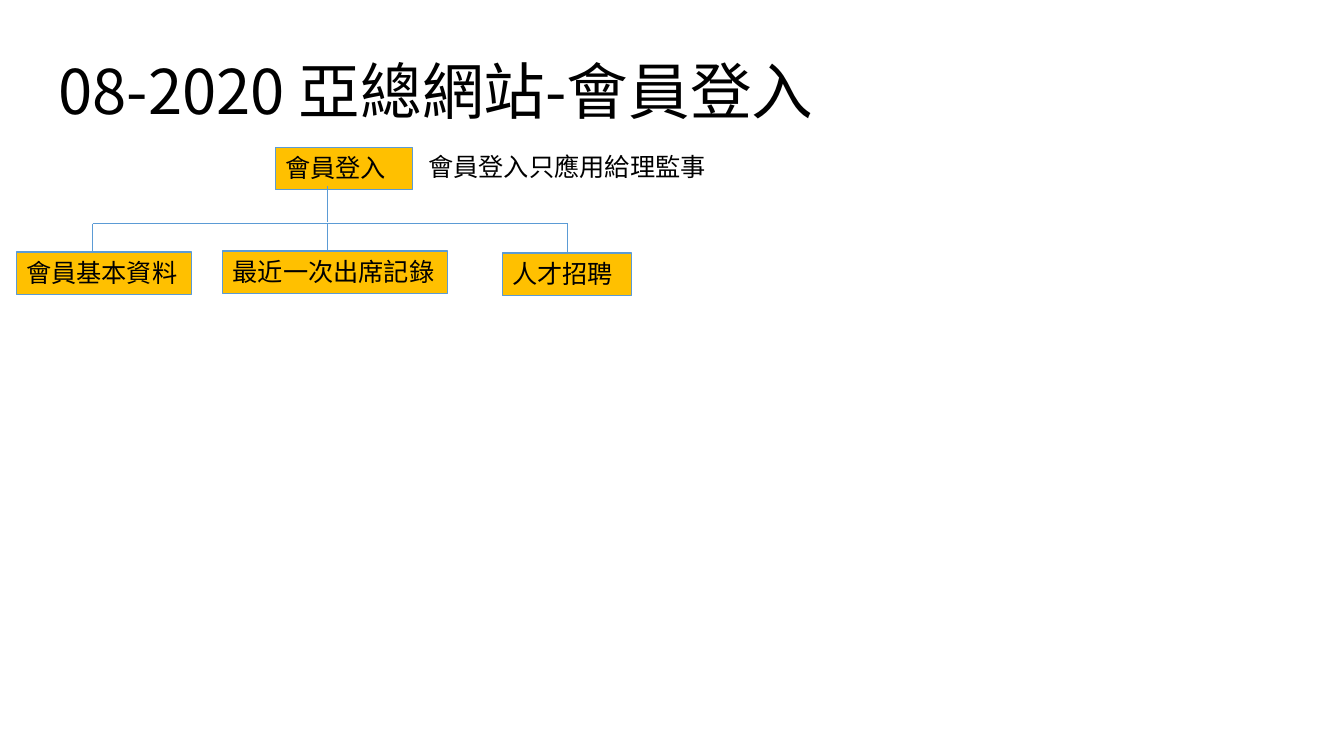
from lxml import etree
from pptx import Presentation
from pptx import util as u
from pptx.dml import color
from pptx.enum import shapes, text
from pptx.oxml import ns

COLORS = {"background": "FFFFFF", "ink": "000000", "box": "FFC000", "line": "5B9BD5"}
CJK_FONT = "Noto Sans CJK TC"
BOX_HEIGHT = 0.42
TRUNK_X = 3.25
BAR_Y = 2.22
BRANCHES = [
    ("會員基本資料", 0.16, 2.5, 1.74, 0.92),
    ("最近一次出席記錄", 2.21, 2.49, 2.23, TRUNK_X),
    ("人才招聘", 4.98, 2.51, 1.28, 5.63),
]


def rgb(name):
    return color.RGBColor.from_string(COLORS[name])


def write_text(shape, content, size=18, font=CJK_FONT, wrap=True, grow=True,
               anchor=text.MSO_ANCHOR.TOP, line_spacing=None):
    frame = shape.text_frame
    frame.word_wrap = wrap
    frame.auto_size = (text.MSO_AUTO_SIZE.SHAPE_TO_FIT_TEXT if grow
                       else text.MSO_AUTO_SIZE.NONE)
    frame.vertical_anchor = anchor
    paragraph = frame.paragraphs[0]
    paragraph.alignment = text.PP_ALIGN.LEFT
    if line_spacing:
        paragraph.line_spacing = line_spacing
    run = paragraph.add_run()
    run.text = content
    run.font.size = u.Pt(size)
    run.font.name = font
    run.font.color.rgb = rgb("ink")
    east_asian = etree.SubElement(run.font._element, ns.qn("a:ea"))
    east_asian.set("typeface", CJK_FONT)


def add_text(slide, left, top, width, height, content, **text_format):
    shape = slide.shapes.add_textbox(*map(u.Inches, (left, top, width, height)))
    write_text(shape, content, **text_format)


def add_box(slide, left, top, width, content):
    shape = slide.shapes.add_shape(
        shapes.MSO_SHAPE.RECTANGLE,
        *map(u.Inches, (left, top, width, BOX_HEIGHT)))
    shape.shadow.inherit = False
    shape.fill.solid()
    shape.fill.fore_color.rgb = rgb("box")
    shape.line.color.rgb = rgb("line")
    shape.line.width = u.Pt(0.75)
    write_text(shape, content)


def add_line(slide, x1, y1, x2, y2):
    connector = slide.shapes.add_connector(
        shapes.MSO_CONNECTOR.STRAIGHT, *map(u.Inches, (x1, y1, x2, y2)))
    connector.line.color.rgb = rgb("line")
    connector.line.width = u.Pt(0.5)
    etree.SubElement(connector._element.spPr, ns.qn("a:effectLst"))


def add_title(slide, left, top, width, height):
    add_text(slide, left, top, width, height, "08-2020 亞總網站-會員登入",
             size=44, grow=False, anchor=text.MSO_ANCHOR.MIDDLE, line_spacing=0.9)


def add_site_map(slide, left, top):
    add_box(slide, left + 2.73, top + 1.46, 1.36, "會員登入")
    add_text(slide, left + 4.15, top + 1.45, 2.95, 0.4, "會員登入只應用給理監事",
             font="Calibri", wrap=False)
    add_line(slide, left + TRUNK_X, top + 1.85, left + TRUNK_X, top + 2.2)
    bar_y = top + BAR_Y
    add_line(slide, left + BRANCHES[0][-1], bar_y, left + BRANCHES[-1][-1], bar_y)
    for label, box_left, box_top, width, stem_x in BRANCHES:
        add_line(slide, left + stem_x, bar_y, left + stem_x, top + 2.51)
        add_box(slide, left + box_left, top + box_top, width, label)


presentation = Presentation()
presentation.slide_width = u.Inches(13.33)
presentation.slide_height = u.Inches(7.5)
slide = presentation.slides.add_slide(presentation.slide_layouts[6])
slide.background.fill.solid()
slide.background.fill.fore_color.rgb = rgb("background")
add_title(slide, 0.48, 0.21, 11.5, 1.45)
add_site_map(slide, 0, 0)
presentation.save("out.pptx")
